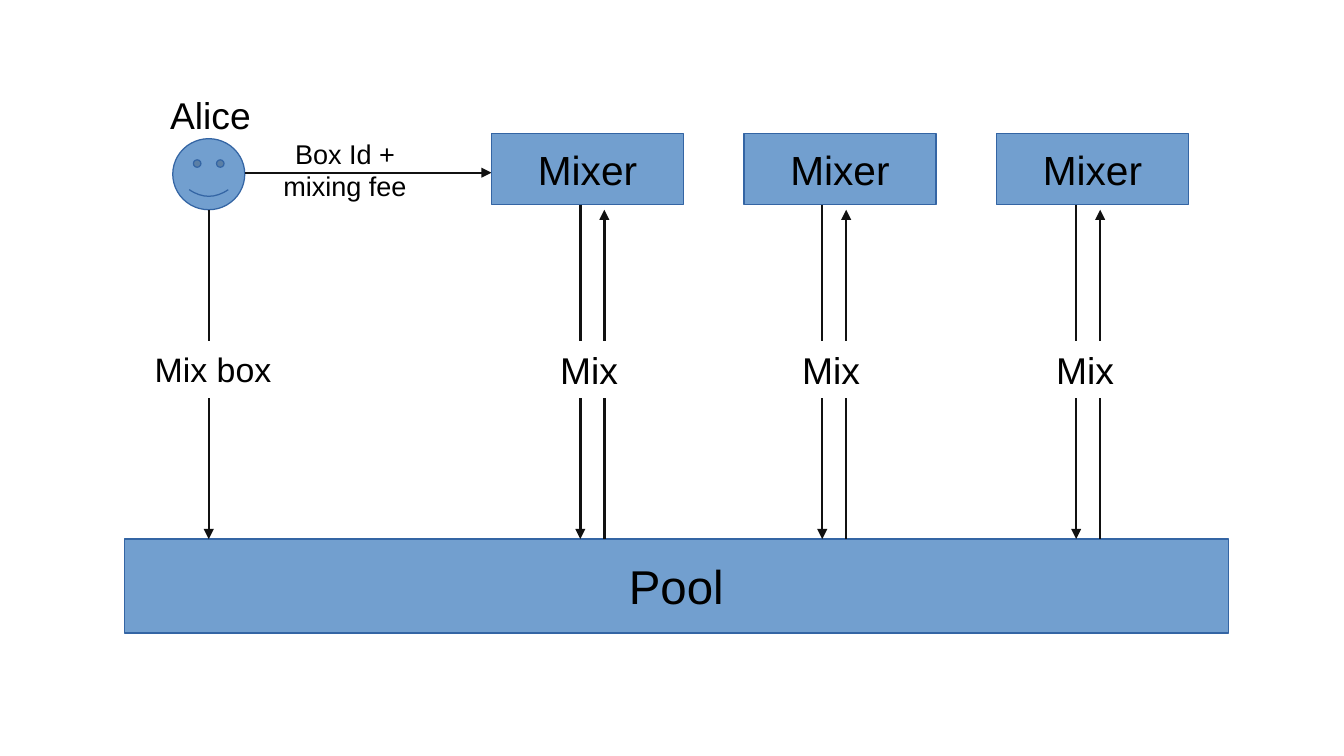
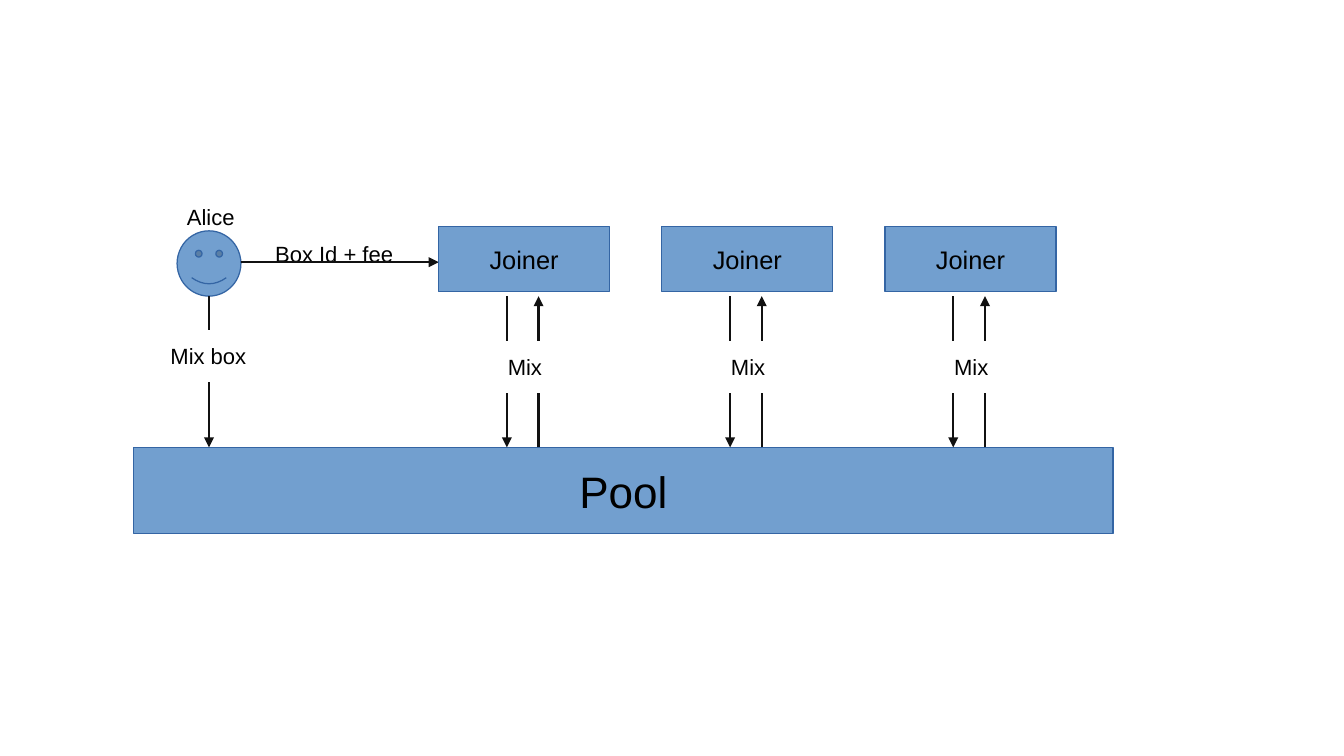
from pptx import Presentation
from pptx.dml.color import RGBColor
from pptx.enum.shapes import MSO_CONNECTOR, MSO_SHAPE
from pptx.enum.text import MSO_ANCHOR, PP_ALIGN
from pptx.oxml.ns import qn
from pptx.util import Cm, Pt
from lxml import etree

FONT = "Arial"
BLUE = RGBColor(0x72, 0x9F, 0xCF)
DARK_BLUE = RGBColor(0x34, 0x65, 0xA4)
WHITE = RGBColor(0xFF, 0xFF, 0xFF)
BLACK = RGBColor(0, 0, 0)
ARROW = RGBColor(0x11, 0x11, 0x11)


def write_text(shape, text, *, size, color=BLACK):
    frame = shape.text_frame
    frame.word_wrap = False
    frame.vertical_anchor = MSO_ANCHOR.MIDDLE
    paragraph = frame.paragraphs[0]
    paragraph.text = text
    paragraph.alignment = PP_ALIGN.CENTER
    for run in paragraph.runs:
        run.font.name = FONT
        run.font.size = Pt(size)
        run.font.color.rgb = color


def add_block(slide, box, kind=MSO_SHAPE.RECTANGLE, fill=BLUE, line=DARK_BLUE):
    """Add a flat shape; box is left, top, width, height in centimetres."""
    shape = slide.shapes.add_shape(kind, *map(Cm, box))
    shape.shadow.inherit = False
    shape.fill.solid()
    shape.fill.fore_color.rgb = fill
    shape.line.color.rgb = line
    shape.line.width = Pt(0)
    return shape


def add_box(slide, text, box, size):
    write_text(add_block(slide, box), text, size=size)


def add_label(slide, text, box, size):
    """Add a white label that masks the lines behind it."""
    write_text(add_block(slide, box, fill=WHITE, line=WHITE), text, size=size)


def add_face(slide, box):
    face = add_block(slide, box, MSO_SHAPE.SMILEY_FACE)
    face.adjustments[0] = 0.093


def add_arrow(slide, start, end):
    arrow = slide.shapes.add_connector(
        MSO_CONNECTOR.STRAIGHT, *map(Cm, (*start, *end)))
    arrow.line.color.rgb = ARROW
    arrow.line.width = Pt(1.42)
    etree.SubElement(arrow.line._get_or_add_ln(), qn("a:tailEnd"), type="triangle")
    etree.SubElement(arrow._element.spPr, qn("a:effectLst"))


def add_exchange(slide, x, gap, service_bottom, arrow_top, pool_top, label, size):
    """Add the arrow pair between a service and the pool, with its label."""
    add_arrow(slide, (x, service_bottom), (x, pool_top))
    add_arrow(slide, (x + gap, pool_top), (x + gap, arrow_top))
    add_label(slide, "Mix", label, size)


def add_diagram(presentation, *, service, service_box, step, service_size,
                exchange_xs, exchange_gap, exchange_top, mix_offset, mix_box,
                mix_size, face, alice, fee, mix_box_label, pool, pool_size):
    """Draw one flow; alice, fee and mix_box_label are (text, box, size)."""
    slide = presentation.slides.add_slide(presentation.slide_layouts[6])
    left, top, width, height = service_box
    pool_top = pool[1]
    face_x = face[0] + face[2] / 2
    face_bottom = face[1] + face[3]
    fee_y = top + height * 0.55

    add_label(slide, *alice)
    add_label(slide, *fee)
    add_box(slide, "Pool", pool, pool_size)
    add_face(slide, face)
    add_arrow(slide, (face_x, face_bottom), (face_x, pool_top))
    add_label(slide, *mix_box_label)
    add_arrow(slide, (face[0] + face[2], fee_y), (left, fee_y))
    for index, x in enumerate(exchange_xs):
        add_box(slide, service, (left + index * step, top, width, height), service_size)
        add_exchange(slide, x, exchange_gap, exchange_top, face_bottom, pool_top,
                     (x + mix_offset, *mix_box), mix_size)


def main():
    presentation = Presentation()
    presentation.slide_width = Cm(28)
    presentation.slide_height = Cm(15.75)

    add_diagram(
        presentation,
        service="Mixer", service_box=(10.24, 2.79, 4, 1.47), step=5.26, service_size=24,
        exchange_xs=(12.09, 17.13, 22.42), exchange_gap=0.5, exchange_top=4.27,
        mix_offset=-0.64, mix_box=(7.11, 1.65, 1.17), mix_size=22,
        face=(3.6, 2.89, 1.5, 1.48),
        alice=("Alice", (3.56, 1.8, 1.65, 1.17), 22),
        fee=("Box Id +\nmixing fee", (5.44, 2.95, 3.5, 1.17), 16),
        mix_box_label=("Mix box", (2.69, 7.11, 3.5, 1.17), 20),
        pool=(2.59, 11.23, 23, 1.96), pool_size=28)

    add_diagram(
        presentation,
        service="Joiner", service_box=(9.14, 4.72, 3.56, 1.35), step=4.65, service_size=15,
        exchange_xs=[10.56 + index * 4.65 for index in range(3)],
        exchange_gap=0.66, exchange_top=6.17,
        mix_offset=-0.36, mix_box=(7.11, 1.47, 1.07), mix_size=13,
        face=(3.69, 4.81, 1.33, 1.36),
        alice=("Alice", (2.84, 3.99, 3.1, 1.07), 13),
        fee=("Box Id + fee", (5.41, 4.75, 3.1, 1.07), 13),
        mix_box_label=("Mix box", (2.79, 6.88, 3.1, 1.07), 13),
        pool=(2.79, 9.32, 20.4, 1.8), pool_size=26)

    presentation.save("out.pptx")


if __name__ == "__main__":
    main()
